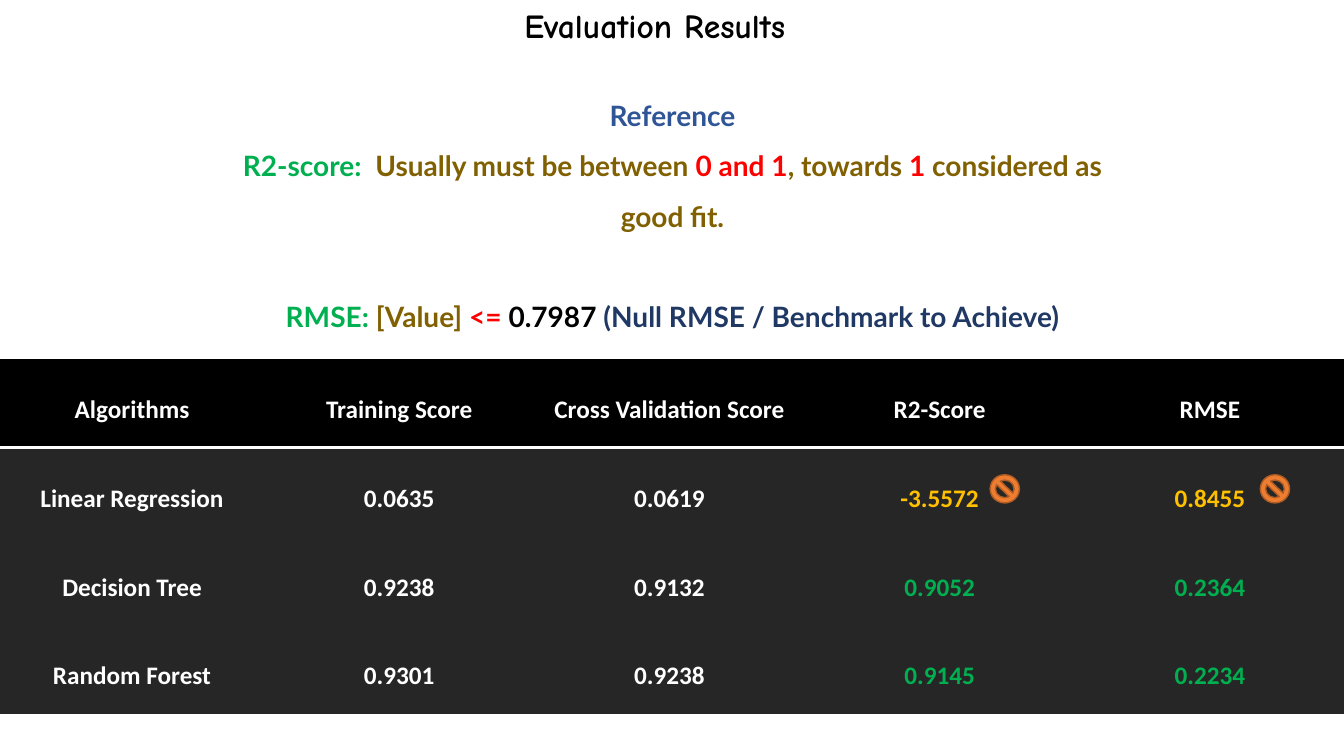
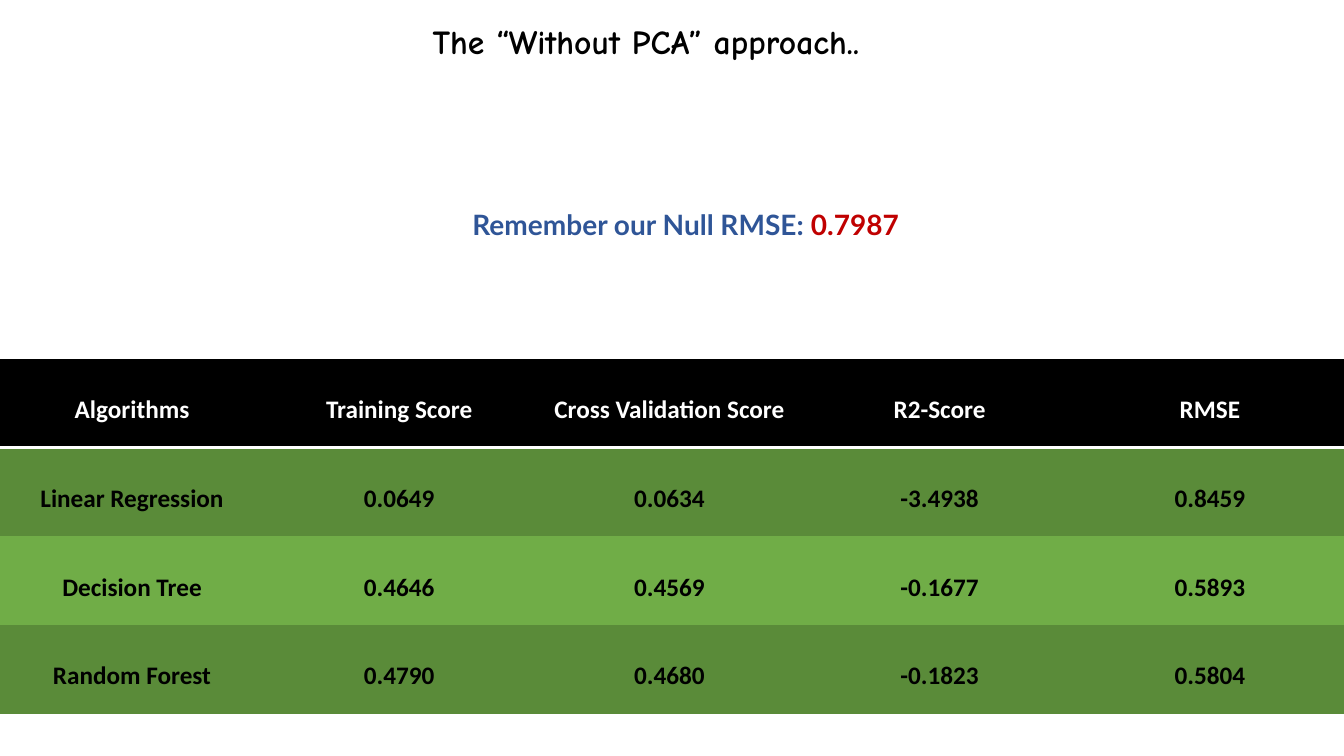
from lxml import etree
from pptx import Presentation
from pptx.dml.color import RGBColor
from pptx.enum.shapes import MSO_SHAPE
from pptx.enum.text import MSO_ANCHOR, MSO_AUTO_SIZE, PP_ALIGN
from pptx.oxml.ns import qn
from pptx.util import Inches, Pt

BLACK = RGBColor(0x00, 0x00, 0x00)
WHITE = RGBColor(0xFF, 0xFF, 0xFF)
CHARCOAL = RGBColor(0x26, 0x26, 0x26)
DARK_GREEN = RGBColor(0x5A, 0x8B, 0x39)
LIGHT_GREEN = RGBColor(0x70, 0xAD, 0x47)
GREEN = RGBColor(0x00, 0xB0, 0x50)
AMBER = RGBColor(0xFF, 0xC0, 0x00)
OLIVE = RGBColor(0x80, 0x60, 0x00)
RED = RGBColor(0xFF, 0x00, 0x00)
DARK_RED = RGBColor(0xC0, 0x00, 0x00)
BLUE = RGBColor(0x2F, 0x55, 0x97)
NAVY = RGBColor(0x20, 0x38, 0x64)
ORANGE = RGBColor(0xED, 0x7D, 0x31)
BROWN = RGBColor(0xAF, 0x5C, 0x24)

TITLE_FONT = {"name": "Comic Neue", "size": Pt(24), "bold": True}
NOTE_FONT = {"name": "Lato", "size": Pt(20), "bold": True}
TABLE_FONT = {"name": "Calibri", "size": Pt(18), "bold": True}

NO_GRID_STYLE = "{2D5ABB26-0587-4C30-8999-92F81FD0307C}"
TABLE_TOP = 3.56
ROW_HEIGHT = 0.88
COLUMN_WIDTHS = [2.62, 2.68, 2.68, 2.68, 2.68]
HEADERS = ["Algorithms", "Training Score", "Cross Validation Score", "R2-Score", "RMSE"]

REFERENCE_NOTE = [
    [("Reference", BLUE)],
    [("R2-score:  ", GREEN), ("Usually must be between ", OLIVE), ("0 and 1", RED),
     (", towards ", OLIVE), ("1", RED), (" considered as good fit.", OLIVE)],
    [("RMSE:", GREEN), (" [Value] ", OLIVE), ("<= ", RED), ("0.7987 ", BLACK),
     ("(Null RMSE / Benchmark to Achieve)", NAVY)],
]
NULL_RMSE_NOTE = [[("Remember our Null RMSE: ", BLUE), ("0.7987", DARK_RED)]]

EVALUATION_SCORES = [
    ["Linear Regression", "0.0635", "0.0619", "-3.5572", "0.8455"],
    ["Decision Tree", "0.9238", "0.9132", "0.9052", "0.2364"],
    ["Random Forest", "0.9301", "0.9238", "0.9145", "0.2234"],
]
WITHOUT_PCA_SCORES = [
    ["Linear Regression", "0.0649", "0.0634", "-3.4938", "0.8459"],
    ["Decision Tree", "0.4646", "0.4569", "-0.1677", "0.5893"],
    ["Random Forest", "0.4790", "0.4680", "-0.1823", "0.5804"],
]


def add_run(paragraph, text, font_format, color):
    run = paragraph.add_run()
    run.text = text
    for attribute, value in font_format.items():
        setattr(run.font, attribute, value)
    run.font.color.rgb = color


def add_titled_slide(presentation, title, left, top, width):
    slide = presentation.slides.add_slide(presentation.slide_layouts[5])
    shape = slide.shapes.title
    box = {"left": left, "top": top, "width": width, "height": 0.5}
    for attribute, value in box.items():
        setattr(shape, attribute, Inches(value))
    frame = shape.text_frame
    frame.auto_size = MSO_AUTO_SIZE.NONE
    frame.vertical_anchor = MSO_ANCHOR.TOP
    paragraph = frame.paragraphs[0]
    paragraph.alignment = PP_ALIGN.LEFT
    add_run(paragraph, title, TITLE_FONT, BLACK)
    return slide


def add_note(slide, left, top, width, height, lines):
    """Add centred lines of (text, colour) runs and return their paragraphs."""
    box = slide.shapes.add_textbox(*map(Inches, (left, top, width, height)))
    frame = box.text_frame
    frame.word_wrap = True
    for index, line in enumerate(lines):
        paragraph = frame.add_paragraph() if index else frame.paragraphs[0]
        paragraph.alignment = PP_ALIGN.CENTER
        paragraph.line_spacing = 1.5
        for text, color in line:
            add_run(paragraph, text, NOTE_FONT, color)
    return frame.paragraphs


def underline_cell(cell):
    border = etree.Element(qn("a:lnB"), w=str(Pt(2)))
    fill = etree.SubElement(border, qn("a:solidFill"))
    etree.SubElement(fill, qn("a:srgbClr"), val=str(WHITE))
    cell._tc.get_or_add_tcPr().insert(0, border)


def add_score_table(slide, scores, row_fills, row_colors):
    """Add the table; row_colors holds (model colour, result colour) for each row."""
    rows = [HEADERS] + scores
    fills = [BLACK] + row_fills
    colors = [(WHITE, WHITE)] + row_colors
    frame = slide.shapes.add_table(
        len(rows), len(HEADERS), Inches(0), Inches(TABLE_TOP),
        Inches(sum(COLUMN_WIDTHS)), Inches(ROW_HEIGHT * len(rows)))
    table = frame.table
    table.horz_banding = False
    table._tbl.tblPr.find(qn("a:tableStyleId")).text = NO_GRID_STYLE
    for column, width in zip(table.columns, COLUMN_WIDTHS):
        column.width = Inches(width)
    for row_index, values in enumerate(rows):
        model_color, result_color = colors[row_index]
        for column_index, value in enumerate(values):
            cell = table.cell(row_index, column_index)
            cell.fill.solid()
            cell.fill.fore_color.rgb = fills[row_index]
            paragraph = cell.text_frame.paragraphs[0]
            paragraph.alignment = PP_ALIGN.CENTER
            paragraph.line_spacing = 2.0
            color = result_color if column_index >= 3 else model_color
            add_run(paragraph, value, TABLE_FONT, color)
            if row_index == 0:
                underline_cell(cell)


def add_rejection_sign(slide, row, column):
    """Place a no-entry sign beside the value in a table cell."""
    left = sum(COLUMN_WIDTHS[:column]) + 1.84
    top = TABLE_TOP + ROW_HEIGHT * row + 0.27
    sign = slide.shapes.add_shape(
        MSO_SHAPE.NO_SYMBOL, Inches(left), Inches(top), Inches(0.29), Inches(0.28))
    sign.shadow.inherit = False
    sign.fill.solid()
    sign.fill.fore_color.rgb = ORANGE
    sign.line.color.rgb = BROWN
    sign.line.width = Pt(1)


def build_evaluation_slide(presentation):
    slide = add_titled_slide(presentation, "Evaluation Results", 5.1, 0, 3.13)
    add_score_table(slide, EVALUATION_SCORES, [CHARCOAL] * 3,
                    [(WHITE, AMBER), (WHITE, GREEN), (WHITE, GREEN)])
    paragraphs = add_note(slide, 2.26, 0.76, 8.82, 2.56, REFERENCE_NOTE)
    paragraphs[-1].space_before = Pt(36)
    for column in (4, 3):
        add_rejection_sign(slide, 1, column)


def build_without_pca_slide(presentation):
    slide = add_titled_slide(presentation, "The “Without PCA” approach..", 4.19, 0.16, 5.22)
    add_score_table(slide, WITHOUT_PCA_SCORES, [DARK_GREEN, LIGHT_GREEN, DARK_GREEN],
                    [(BLACK, BLACK)] * 3)
    add_note(slide, 2.39, 1.84, 8.82, 0.54, NULL_RMSE_NOTE)


def main():
    presentation = Presentation()
    presentation.slide_width = Inches(13.33)
    presentation.slide_height = Inches(7.5)
    build_evaluation_slide(presentation)
    build_without_pca_slide(presentation)
    presentation.save("out.pptx")


if __name__ == "__main__":
    main()
